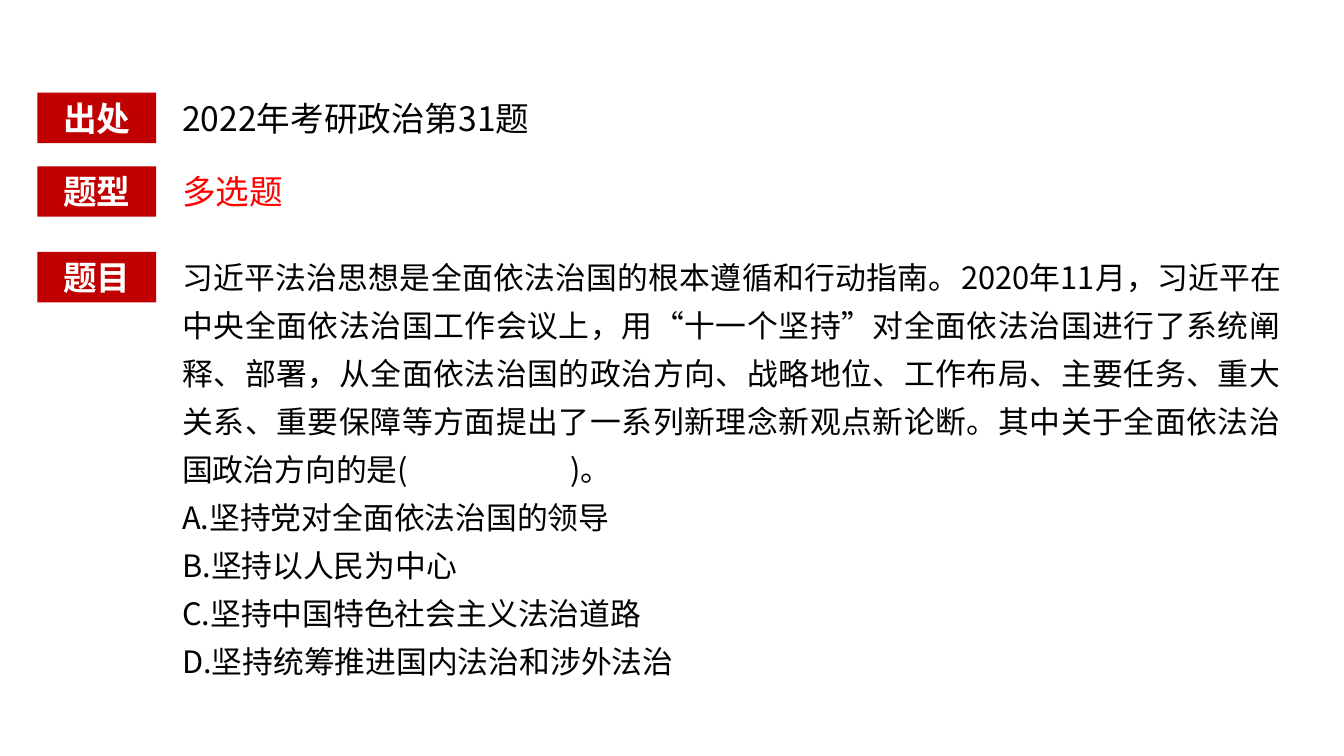
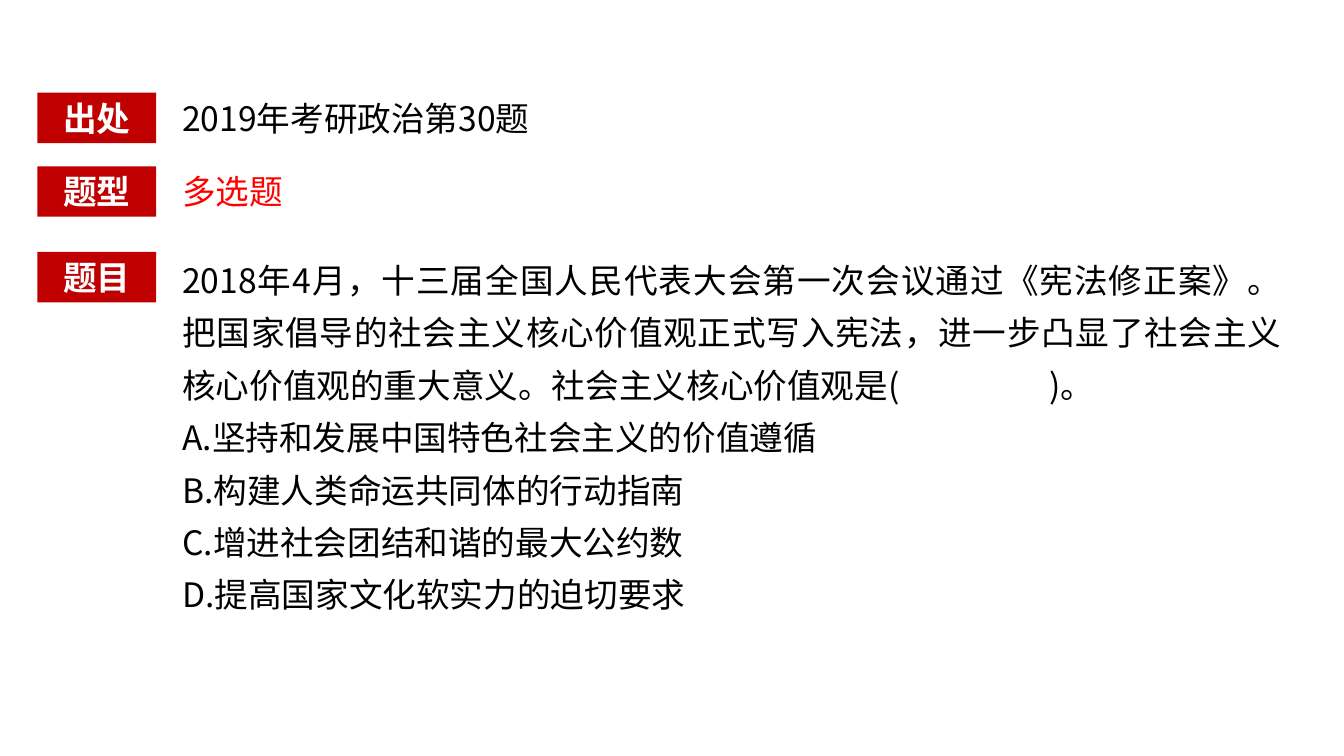
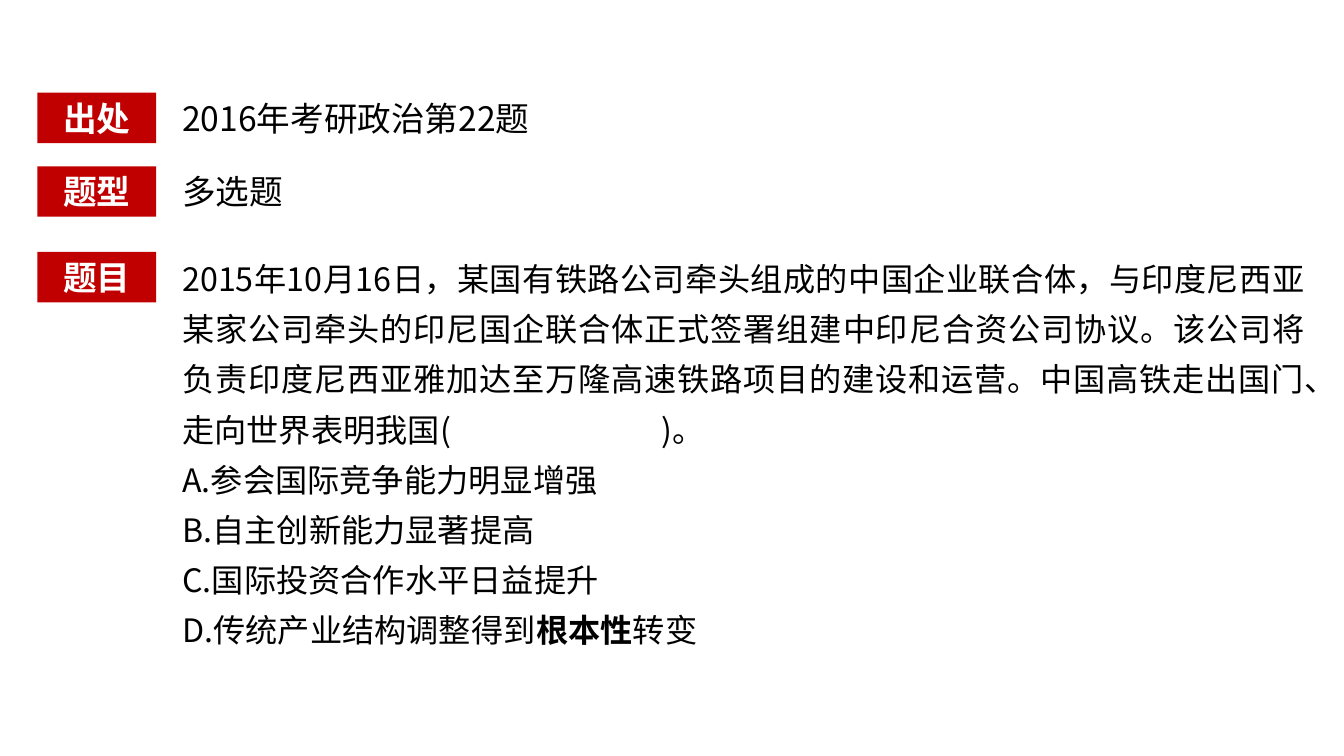
from lxml import etree
from pptx import Presentation
from pptx.dml.color import RGBColor
from pptx.enum.shapes import MSO_SHAPE
from pptx.enum.text import MSO_ANCHOR, MSO_AUTO_SIZE, PP_ALIGN
from pptx.oxml.ns import qn
from pptx.util import Inches, Pt

RECT = MSO_SHAPE.RECTANGLE
GROW = MSO_AUTO_SIZE.SHAPE_TO_FIT_TEXT
TOP, MIDDLE = MSO_ANCHOR.TOP, MSO_ANCHOR.MIDDLE
LEFT, CENTER, JUSTIFY = PP_ALIGN.LEFT, PP_ALIGN.CENTER, PP_ALIGN.JUSTIFY

FONT = "Noto Sans CJK SC"
COLORS = {"band": "C00000", "white": "FFFFFF", "text": "000000", "alert": "FF0000"}

# Shared grid, in inches
TAG_X, TAG_W, ROW_H = 0.37, 1.18, 0.5
TEXT_X, LINE_W = 1.71, 9.06
SOURCE_Y, KIND_Y, TAG_Y, BODY_Y = 0.92, 1.65, 2.5, 2.41

# An answer gap is a tab (stop in inches); * marks bold text
CARDS = [
    {
        "source": "2022年考研政治第31题", "color": "alert",
        "size": 22, "box": (11.1, 4.39), "stop": 3.85,
        "stem": "习近平法治思想是全面依法治国的根本遵循和行动指南。2020年11月，"
                "习近平在中央全面依法治国工作会议上，用“十一个坚持”对全面依法治国"
                "进行了系统阐释、部署，从全面依法治国的政治方向、战略地位、工作布局、"
                "主要任务、重大关系、重要保障等方面提出了一系列新理念新观点新论断。"
                "其中关于全面依法治国政治方向的是(\t)。",
        "picks": ["A.坚持党对全面依法治国的领导", "B.坚持以人民为中心",
                  "C.坚持中国特色社会主义法治道路",
                  "D.坚持统筹推进国内法治和涉外法治"],
    },
    {
        "source": "2019年考研政治第30题", "color": "alert",
        "size": 24, "box": (11.1, 3.73), "stop": 8.6,
        "stem": "2018年4月，十三届全国人民代表大会第一次会议通过《宪法修正案》。"
                "把国家倡导的社会主义核心价值观正式写入宪法，进一步凸显了社会主义"
                "核心价值观的重大意义。社会主义核心价值观是(\t)。",
        "picks": ["A.坚持和发展中国特色社会主义的价值遵循",
                  "B.构建人类命运共同体的行动指南",
                  "C.增进社会团结和谐的最大公约数",
                  "D.提高国家文化软实力的迫切要求"],
    },
    {
        "source": "2016年考研政治第22题", "color": "text",
        "size": 23, "box": (11.34, 4.08), "stop": 4.75,
        "stem": "2015年10月16日，某国有铁路公司牵头组成的中国企业联合体，与印度尼西亚"
                "某家公司牵头的印尼国企联合体正式签署组建中印尼合资公司协议。该公司将"
                "负责印度尼西亚雅加达至万隆高速铁路项目的建设和运营。中国高铁走出国门、"
                "走向世界表明我国(\t)。",
        "picks": ["A.参会国际竞争能力明显增强", "B.自主创新能力显著提高",
                  "C.国际投资合作水平日益提升",
                  "D.传统产业结构调整得到*根本性*转变"],
    },
]


def style(item, values):
    for name, value in values.items():
        setattr(item, name, value)


def write(par, text, size, color, bold=False):
    """Add runs to a paragraph, switching weight at each asterisk."""
    for i, part in enumerate(text.split("*")):
        run = par.add_run()
        run.text = part
        style(run.font, {"name": FONT, "size": Pt(size), "bold": bold or i % 2 == 1})
        run.font.color.rgb = RGBColor.from_string(COLORS[color])
        east = etree.Element(qn("a:ea"), typeface=FONT)
        run.font._element.find(qn("a:latin")).addnext(east)


def add_stop(par, inches):
    tabs = etree.SubElement(par._p.get_or_add_pPr(), qn("a:tabLst"))
    etree.SubElement(tabs, qn("a:tab"), pos=str(Inches(inches)), algn="l")


def add_box(slide, x, y, w, h):
    box = slide.shapes.add_textbox(Inches(x), Inches(y), Inches(w), Inches(h))
    style(box.text_frame, {"word_wrap": True, "auto_size": GROW,
                           "vertical_anchor": TOP})
    return box.text_frame


def add_tag(slide, y, text):
    tag = slide.shapes.add_shape(RECT, Inches(TAG_X), Inches(y),
                                 Inches(TAG_W), Inches(ROW_H))
    tag.shadow.inherit = False
    tag.fill.solid()
    tag.fill.fore_color.rgb = RGBColor.from_string(COLORS["band"])
    tag.line.fill.background()
    style(tag.text_frame, {"word_wrap": True, "auto_size": GROW,
                           "vertical_anchor": MIDDLE})
    par = tag.text_frame.paragraphs[0]
    par.alignment = CENTER
    write(par, text, 24, "white", True)


def add_row(slide, y, label, text, color):
    add_tag(slide, y, label)
    frame = add_box(slide, TEXT_X, y, LINE_W, ROW_H)
    write(frame.paragraphs[0], text, 24, color)


def add_body(slide, card):
    add_tag(slide, TAG_Y, "题目")
    frame = add_box(slide, TEXT_X, BODY_Y, *card["box"])
    for i, text in enumerate([card["stem"], *card["picks"]]):
        par = frame.add_paragraph() if i else frame.paragraphs[0]
        style(par, {"alignment": LEFT if i else JUSTIFY, "line_spacing": 1.3})
        if not i:
            add_stop(par, card["stop"])
        write(par, text, card["size"], "text")


def add_card(deck, card):
    slide = deck.slides.add_slide(deck.slide_layouts[6])
    add_row(slide, SOURCE_Y, "出处", card["source"], "text")
    add_row(slide, KIND_Y, "题型", "多选题", card["color"])
    add_body(slide, card)


def main():
    deck = Presentation()
    style(deck, {"slide_width": Inches(13.33), "slide_height": Inches(7.5)})
    for card in CARDS:
        add_card(deck, card)
    deck.save("out.pptx")


if __name__ == "__main__":
    main()
